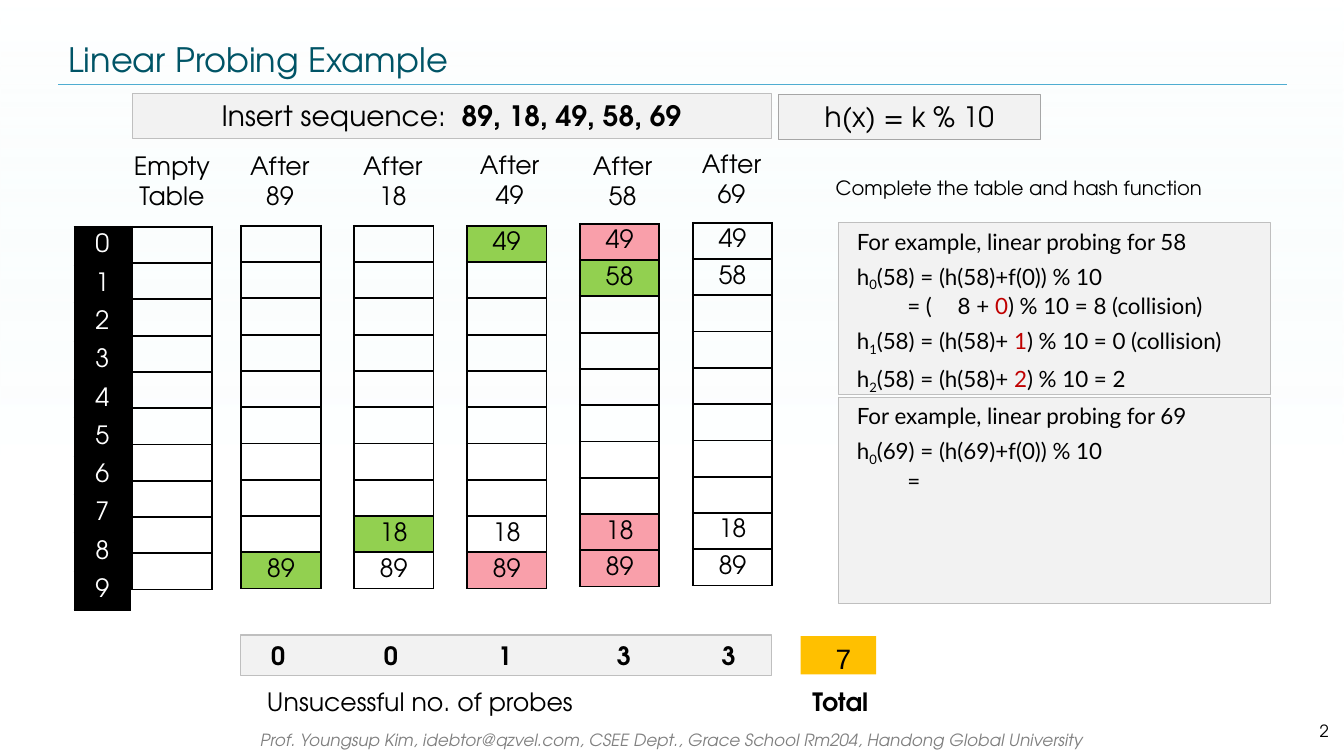
from lxml import etree
from pptx import Presentation
from pptx.dml.color import RGBColor
from pptx.enum import shapes, text
from pptx.oxml.ns import qn
from pptx.util import Inches, Pt

# Content
TITLE = "Linear Probing Example"
FOOTER = ("Prof. Youngsup Kim, idebtor@qzvel.com, CSEE Dept., "
          "Grace School Rm204, Handong Global University")
# heading lines, heading left and top, table top, {row: (key, fill name)}
STEPS = [
    (("Empty", "Table"), 1.22, 1.44, 2.25, {}),
    (("After", "89"), 2.38, 1.44, 2.24, {9: ("89", "placed")}),
    (("After", "18"), 3.5, 1.44, 2.24, {8: ("18", "placed"), 9: ("89", None)}),
    (("After", "49"), 4.66, 1.43, 2.24,
     {0: ("49", "placed"), 8: ("18", None), 9: ("89", "collided")}),
    (("After", "58"), 5.78, 1.44, 2.22,
     {0: ("49", "collided"), 1: ("58", "placed"),
      8: ("18", "collided"), 9: ("89", "collided")}),
    (("After", "69"), 6.86, 1.42, 2.21,
     {0: ("49", None), 1: ("58", None), 8: ("18", None), 9: ("89", None)}),
]
# probe count and its centre across the slide
PROBES = [("0", 2.76), ("0", 3.88), ("1", 5.01), ("3", 6.19), ("3", 7.23)]
# each line is a list of plain strings or (string, style) pairs
EXAMPLE_58 = [
    ["For example, linear probing for 58"],
    ["h", ("0", "sub"), "(58) = (h(58)+f(0)) % 10", "\n",
     "\t= (\t8 + ", ("0", "probe"), ") % 10 = 8 (collision)"],
    ["h", ("1", "sub"), "(58) = (h(58)+", (" 1", "probe"), ") % 10 = 0 (collision)"],
    ["h", ("2", "sub"), "(58) = (h(58)+ ", ("2", "probe"), ") % 10 = 2"],
]
EXAMPLE_69 = [
    ["For example, linear probing for 69"],
    ["h", ("0", "sub"), "(69) = (h(69)+f(0)) % 10", "\n", "\t="],
]

THEME = {
    "font": "TeX Gyre Adventor", "example_font": "Lato", "total_font": "Arial",
    "ink": "000000", "paper": "FFFFFF", "title": "005466", "footer": "808080",
    "rule": "4FADD1", "panel": "F2F2F2", "edge": "BFBFBF", "hash_edge": "A6A6A6",
    "placed": "92D050", "collided": "F99FAA", "total": "FFC000", "probe": "C00000",
    "sky": "D9F3F4",
    "title_size": 24, "banner_size": 20, "body_size": 18, "example_size": 16,
    "note_size": 14, "small_size": 12,
}
ROWS = 10
THIN_AFTER = (0, 5)  # rows whose lower border is thin
CELL_WIDTH, ROW_HEIGHT, INDEX_ROW_HEIGHT = 0.79, 0.36, 0.38
ALIGN = {"left": text.PP_ALIGN.LEFT, "center": text.PP_ALIGN.CENTER,
         "right": text.PP_ALIGN.RIGHT}


def color(name):
    return RGBColor.from_string(THEME[name])


def add_rect(left, top, width, height, fill, edge=None):
    rect = page.shapes.add_shape(shapes.MSO_SHAPE.RECTANGLE, Inches(left),
                                 Inches(top), Inches(width), Inches(height))
    rect.shadow.inherit = False
    rect.fill.solid()
    rect.fill.fore_color.rgb = color(fill)
    if edge:
        rect.line.color.rgb = color(edge)
        rect.line.width = Pt(0.75)
    else:
        rect.line.fill.background()
    return rect


def add_box(left, top, width, height):
    return page.shapes.add_textbox(Inches(left), Inches(top),
                                   Inches(width), Inches(height))


def write(holder, lines, size="body_size", font="font", ink="ink", align="left",
          bold=False, italic=False, wrap=True, middle=False, indent=0, before=0,
          tabs=(), tab_align="l"):
    """Fill a shape, text box or cell; each line becomes a paragraph."""
    frame = holder.text_frame
    frame.word_wrap = wrap
    frame.vertical_anchor = text.MSO_ANCHOR.MIDDLE if middle else text.MSO_ANCHOR.TOP
    for number, line in enumerate(lines):
        para = frame.add_paragraph() if number else frame.paragraphs[0]
        para.alignment = ALIGN[align]
        para.space_before = Pt(before)
        props = para._p.get_or_add_pPr()
        if indent:
            props.set("marL", str(Inches(indent)))
            props.set("indent", "0")
        if tabs:
            stops = etree.SubElement(props, qn("a:tabLst"))
            for stop in tabs:
                etree.SubElement(stops, qn("a:tab"), pos=str(Inches(stop)), algn=tab_align)
        for part in [line] if isinstance(line, str) else line:
            if part == "\n":
                para.add_line_break()
                continue
            words, style = (part, None) if isinstance(part, str) else part
            span = para.add_run()
            span.text = words
            span.font.name = THEME[font]
            span.font.size = Pt(THEME[size])
            span.font.bold = bold or style == "bold"
            span.font.italic = italic
            span.font.color.rgb = color("probe" if style == "probe" else ink)
            if style == "sub":
                span.font._element.set("baseline", "-21000")


def add_column(left, top, width, row_height, entries, ink="ink"):
    """One-column table; entries maps a row to its text and fill."""
    table = page.shapes.add_table(ROWS, 1, Inches(left), Inches(top), Inches(width),
                                  Inches(row_height * ROWS)).table
    table.first_row = table.horz_banding = False
    for row in range(ROWS):
        table.rows[row].height = Inches(row_height)
        cell = table.cell(row, 0)
        cell.margin_left = cell.margin_right = 0
        cell.margin_top = cell.margin_bottom = Inches(0.02)
        cell.vertical_anchor = text.MSO_ANCHOR.MIDDLE
        words, fill = entries.get(row, ("", None))
        write(cell, [words], align="center", ink=ink)
        props = cell._tc.get_or_add_tcPr()
        for side in "LRTB":
            thin = (side == "B" and row in THIN_AFTER
                    or side == "T" and row - 1 in THIN_AFTER)
            border = etree.SubElement(props, qn("a:ln" + side), w=str(Pt(1 if thin else 1.5)))
            paint = etree.SubElement(border, qn("a:solidFill"))
            etree.SubElement(paint, qn("a:srgbClr"), val=THEME["ink"])
        if fill:
            cell.fill.solid()
            cell.fill.fore_color.rgb = color(fill)
        else:
            cell.fill.background()


deck = Presentation()
deck.slide_width, deck.slide_height = Inches(13.33), Inches(7.5)
page = deck.slides.add_slide(deck.slide_layouts[6])

# Background wash
wash = add_rect(0, 0, 13.33, 7.5, "paper")
wash.fill.gradient()
wash.fill.gradient_angle = 270
for stop, name, position in zip(wash.fill.gradient_stops, ("sky", "paper"), (0, 0.61)):
    stop.color.rgb = color(name)
    stop.position = position
for tint, alpha in zip(wash._element.spPr.iter(qn("a:srgbClr")), (0, 40)):
    etree.SubElement(tint, qn("a:alpha"), val=str(alpha * 1000))

# Title, rule, footer and page number
write(add_box(0.58, 0.34, 12.18, 0.5), [TITLE], size="title_size", ink="title", middle=True)
rule = page.shapes.add_connector(shapes.MSO_CONNECTOR.STRAIGHT, Inches(0.58),
                                 Inches(0.84), Inches(12.76), Inches(0.84))
rule.line.color.rgb = color("rule")
rule.line.width = Pt(0.25)
etree.SubElement(rule._element.spPr, qn("a:effectLst"))
write(add_box(1.98, 7.19, 9.37, 0.3), [FOOTER], size="small_size", ink="footer",
      align="center", italic=True)
write(add_box(12.11, 7.05, 1.17, 0.4), ["2"], size="small_size", align="right", middle=True)

# Banners
write(add_rect(1.31, 0.93, 6.34, 0.44, "panel", "edge"),
      [["Insert sequence:  ", ("89, 18, 49, 58, 69", "bold")]],
      size="banner_size", align="center")
write(add_rect(7.72, 0.94, 2.6, 0.44, "panel", "hash_edge"), ["h(x) = k % 10"],
      size="banner_size", align="center")

# Hash tables, one per insertion
for step, (heading, heading_left, heading_top, top, entries) in enumerate(STEPS):
    width = 0.79 if step else 0.97
    write(add_box(heading_left, heading_top, width, 0.71), heading,
          align="center", wrap=False)
    left = 2.39 + 1.12 * (step - 1) if step else 1.31
    add_column(left, top, CELL_WIDTH, ROW_HEIGHT, entries)
add_column(0.74, 2.25, 0.55, INDEX_ROW_HEIGHT,
           {row: (str(row), "ink") for row in range(ROWS)}, ink="paper")

# Probe counts and total
counts_left, inset = 2.39, 0.1
write(add_rect(counts_left, 6.3, 5.26, 0.4, "panel", "edge"),
      ["".join("\t" + count for count, _ in PROBES)], bold=True,
      tabs=[round(centre - counts_left - inset, 2) for _, centre in PROBES],
      tab_align="ctr")
write(add_box(2.4, 6.76, 3.38, 0.4), ["Unsucessful no. of probes"], align="right")
total = add_rect(7.94, 6.31, 0.75, 0.38, "total")
total.text_frame.margin_left = total.text_frame.margin_right = 0
total.text_frame.margin_bottom = 0
write(total, ["7"], size="banner_size", font="total_font", align="center",
      indent=0.1, before=3.1)
write(add_box(7.95, 6.76, 0.77, 0.4), ["Total"], align="center", bold=True, wrap=False)

# Worked examples
write(add_box(8.19, 1.7, 3.87, 0.34), ["Complete the table and hash function"],
      size="note_size", wrap=False)
for top, height, lines in [(3.94, 2.05, EXAMPLE_69), (2.21, 1.7, EXAMPLE_58)]:
    write(add_rect(8.32, top, 4.28, height, "panel", "edge"), lines,
          size="example_size", font="example_font", indent=0.08, before=5.8,
          tabs=(0.73, 1.28))

deck.save("out.pptx")
